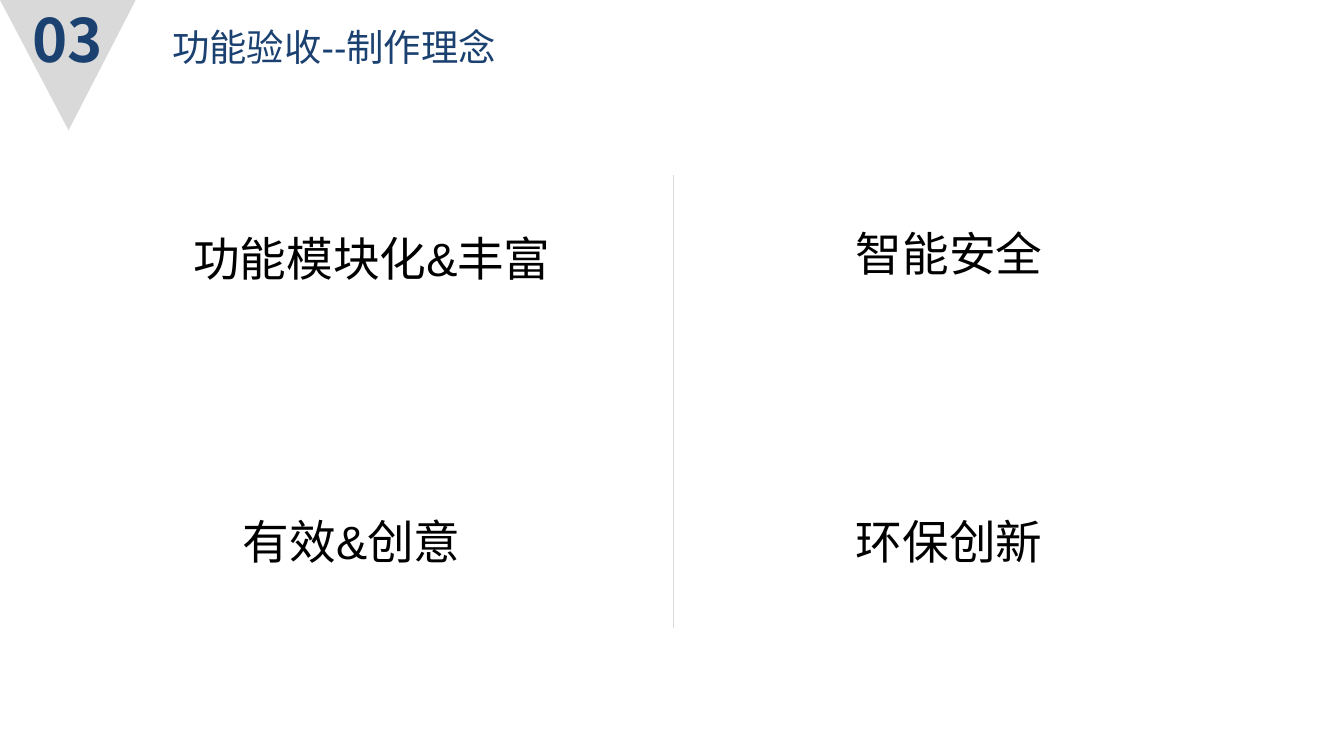
from dataclasses import dataclass

from lxml.etree import SubElement
from pptx import Presentation
from pptx.dml.color import RGBColor
from pptx.enum.shapes import MSO_CONNECTOR as Connector
from pptx.enum.text import MSO_ANCHOR as Anchor, MSO_AUTO_SIZE as AutoSize, PP_ALIGN as Align
from pptx.oxml.ns import qn
from pptx.util import Inches, Pt

NAVY, GREY, BLACK = "1B4171", "D9D9D9", "000000"
LATIN, CJK = "Arial", "Noto Sans CJK SC"


@dataclass
class Concept:
    text: str
    left: float
    top: float
    width: float


CONCEPTS = [
    Concept("功能模块化&丰富", 1.34, 1.66, 3),
    Concept("智能安全", 6.27, 1.62, 2),
    Concept("有效&创意", 1.71, 3.77, 2.46),
    Concept("环保创新", 6.27, 3.77, 1.84),
]


def color(value: str) -> RGBColor:
    return RGBColor.from_string(value)


def write(shape, text: str, *, size: float, fill: str, font: str = LATIN, bold: bool = False,
          align=Align.LEFT, anchor=Anchor.TOP, auto_size=AutoSize.SHAPE_TO_FIT_TEXT,
          insets: tuple = (0.1, 0.05, 0.1, 0.05)) -> None:
    frame = shape.text_frame
    frame.word_wrap = True
    frame.auto_size = auto_size
    frame.vertical_anchor = anchor
    (frame.margin_left, frame.margin_top,
     frame.margin_right, frame.margin_bottom) = map(Inches, insets)
    paragraph = frame.paragraphs[0]
    paragraph.alignment = align
    run = paragraph.add_run()
    run.text = text
    run.font.size, run.font.bold, run.font.name = Pt(size), bold, font
    run.font.color.rgb = color(fill)
    # East Asian characters need their own typeface
    SubElement(run.font._element, qn("a:ea")).set("typeface", CJK)


def place(shape, left: float, top: float, width: float, height: float) -> None:
    shape.left, shape.top, shape.width, shape.height = map(Inches, (left, top, width, height))


def add_concept(slide, concept: Concept) -> None:
    box = slide.shapes.add_textbox(Inches(concept.left), Inches(concept.top),
                                   Inches(concept.width), Inches(0.52))
    write(box, concept.text, size=25, fill=BLACK)


def add_section_marker(slide, number: str) -> None:
    builder = slide.shapes.build_freeform(0, 0)
    corners = [(Inches(1.01), 0), (Inches(0.51), Inches(0.97))]
    builder.add_line_segments(corners, close=True)
    marker = builder.convert_to_shape()
    marker.shadow.inherit = False
    marker.fill.solid()
    marker.fill.fore_color.rgb = color(GREY)
    marker.line.fill.background()
    write(marker, number, size=32, fill=NAVY, font=CJK, bold=True, align=Align.CENTER,
          anchor=Anchor.MIDDLE, auto_size=AutoSize.NONE, insets=(0.1, 0, 0.1, 0.39))


def add_divider(slide, x: float, top: float, bottom: float) -> None:
    divider = slide.shapes.add_connector(Connector.STRAIGHT, Inches(x), Inches(top),
                                         Inches(x), Inches(bottom))
    divider.line.color.rgb = color(GREY)
    divider.line.width = Pt(0.5)
    SubElement(divider._element.spPr, qn("a:effectLst"))


def main() -> None:
    # Widescreen page, 16:9
    deck = Presentation()
    deck.slide_width = Inches(10)
    deck.slide_height = deck.slide_width * 9 // 16
    slide = deck.slides.add_slide(deck.slide_layouts[5])

    # Header
    add_section_marker(slide, "03")
    heading = slide.shapes.title
    place(heading, 1.18, 0.13, 2.92, 0.44)
    write(heading, "功能验收--制作理念", size=20, fill=NAVY)

    # Four concepts either side of the divider
    for concept in CONCEPTS:
        add_concept(slide, concept)
    add_divider(slide, 5.01, 1.3, 4.67)

    deck.save("out.pptx")


if __name__ == "__main__":
    main()
